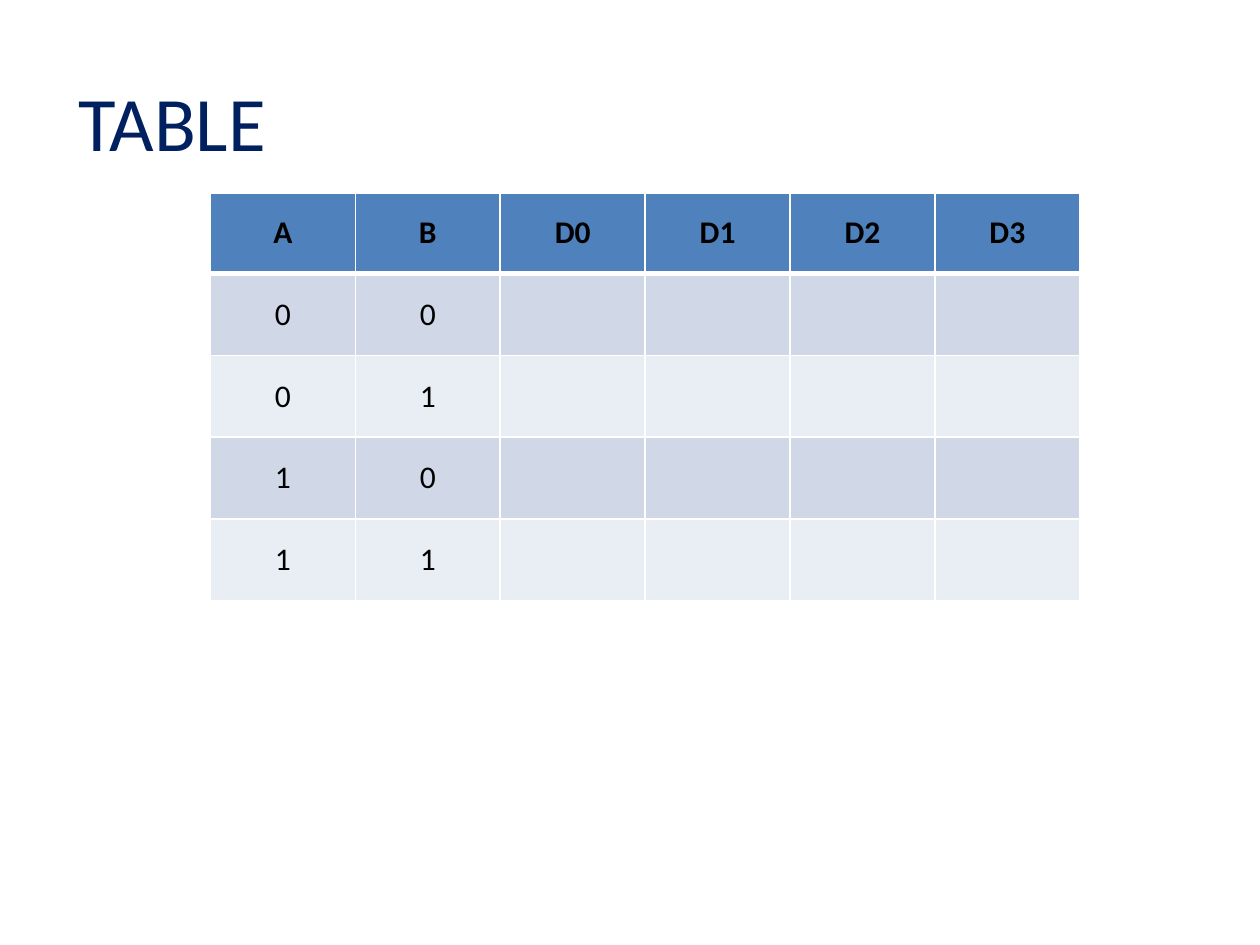
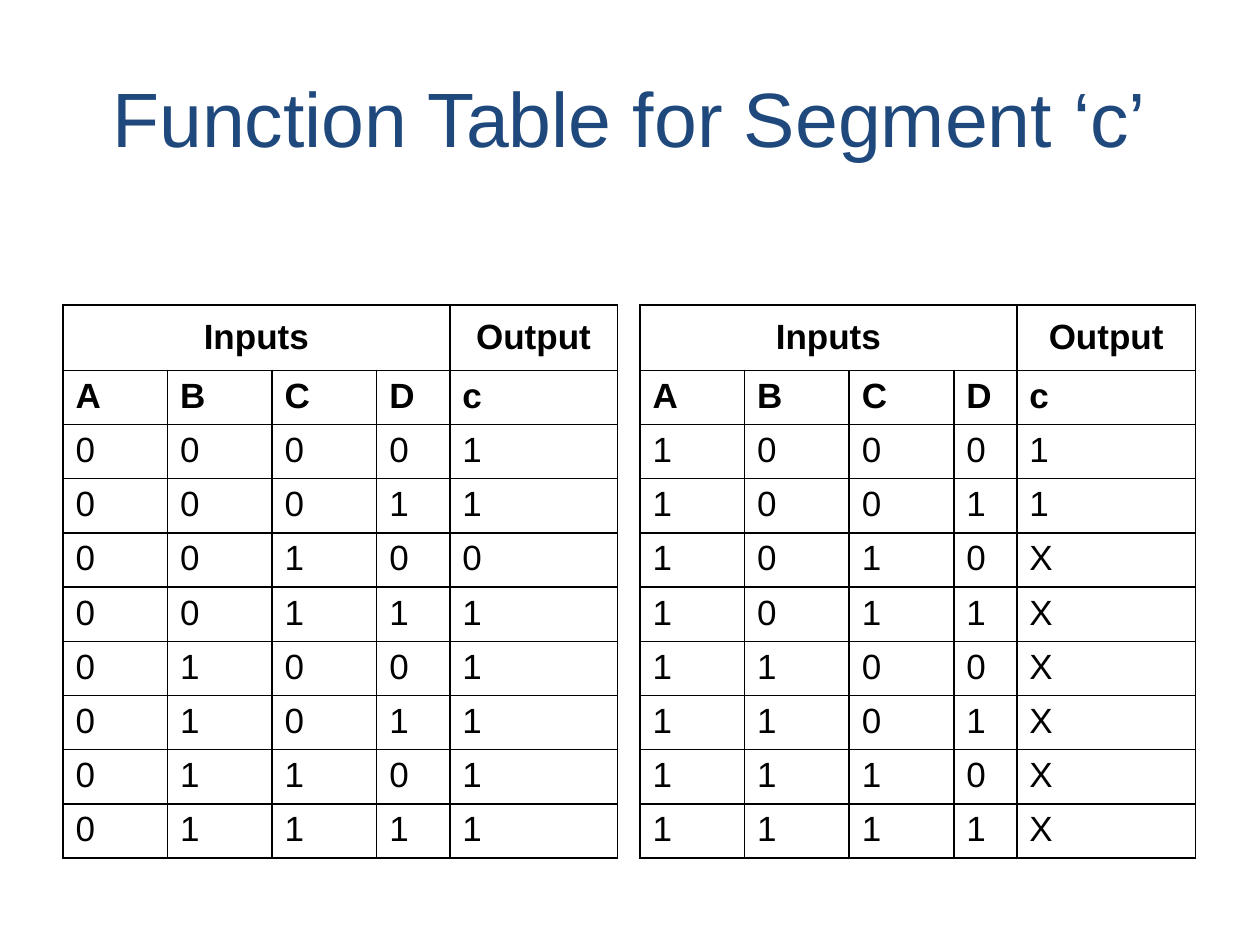
from pptx import Presentation
from pptx.dml.color import RGBColor
from pptx.enum.text import MSO_ANCHOR as Anchor, PP_ALIGN as Align
from pptx.oxml import parse_xml
from pptx.oxml.ns import nsdecls
from pptx.util import Inches, Pt

WHITE, BLACK, NAVY, BLUE = "FFFFFF", "000000", "002060", "1F497D"
HEAD, BANDS = "4F81BD", ("D0D8E8", "E9EDF4")

DECODER = [
    ("A", "B", "D0", "D1", "D2", "D3"),
    ("0", "0", "", "", "", ""),
    ("0", "1", "", "", "", ""),
    ("1", "0", "", "", "", ""),
    ("1", "1", "", "", "", ""),
]
DECODER_ROWS = [0.64] + [0.65] * 4

SEGMENT_HEAD = [("Inputs", "", "", "", "Output"), ("A", "B", "C", "D", "c")]
SEGMENT_ROWS = [0.52] + [0.43] * 9
# left edge, column widths, one row of A B C D c per string
SEGMENTS = [
    (0.5, [0.83, 0.83, 0.83, 0.58, 1.33],
     ["00001", "00011", "00100", "00111", "01001", "01011", "01101", "01111"]),
    (5.08, [0.83, 0.83, 0.83, 0.5, 1.42],
     ["10001", "10011", "1010X", "1011X", "1100X", "1101X", "1110X", "1111X"]),
]


def rgb(code):
    return RGBColor.from_string(code)


def style(para, size, face, color, align, bold=False):
    para.alignment = align
    font = para.font
    font.size, font.name, font.bold = Pt(size), face, bold
    font.color.rgb = rgb(color)


def add_slide(deck, text, left, top, face, color, align):
    slide = deck.slides.add_slide(deck.slide_layouts[5])
    title = slide.shapes.title
    title.left, title.top = Inches(left), Inches(top)
    title.width, title.height = Inches(9), Inches(1.25)
    title.text_frame.text = text
    title.text_frame.vertical_anchor = Anchor.MIDDLE
    style(title.text_frame.paragraphs[0], 44, face, color, align)
    return slide


def add_grid(slide, left, top, cols, rows, data):
    """Add a table without style banding and fill in its text."""
    table = slide.shapes.add_table(
        len(rows), len(cols), Inches(left), Inches(top),
        Inches(sum(cols)), Inches(sum(rows))).table
    table.first_row = table.horz_banding = False
    for col, width in zip(table.columns, cols):
        col.width = Inches(width)
    for row, height, texts in zip(table.rows, rows, data):
        row.height = Inches(height)
        for cell, text in zip(row.cells, texts):
            cell.text = text
    return table


def edge(cell, color, top=1, base=1):
    """Draw the four borders of a cell; call before setting its fill."""
    props = cell._tc.get_or_add_tcPr()
    for side, width in zip("LRTB", (1, 1, top, base)):
        props.append(parse_xml(
            f'<a:ln{side} {nsdecls("a")} w="{Pt(width)}"><a:solidFill>'
            f'<a:srgbClr val="{color}"/></a:solidFill></a:ln{side}>'))


def add_decoder(slide):
    table = add_grid(slide, 1.67, 1.53, [1.15] * 6, DECODER_ROWS, DECODER)
    for num, row in enumerate(table.rows):
        for cell in row.cells:
            edge(cell, WHITE, 3 if num == 1 else 1, 3 if num == 0 else 1)
            cell.fill.solid()
            cell.fill.fore_color.rgb = rgb(BANDS[(num - 1) % 2] if num else HEAD)
            cell.vertical_anchor = Anchor.MIDDLE
            style(cell.text_frame.paragraphs[0], 18, "Calibri", BLACK,
                  Align.CENTER, num == 0)


def add_segment(slide, left, cols, lines):
    table = add_grid(slide, left, 2.42, cols, SEGMENT_ROWS, SEGMENT_HEAD + lines)
    for num, row in enumerate(table.rows):
        for cell in row.cells:
            edge(cell, BLACK)
            cell.fill.background()
            cell.vertical_anchor = Anchor.TOP if num else Anchor.MIDDLE
            style(cell.text_frame.paragraphs[0], 20, "Arial", BLACK,
                  Align.JUSTIFY if num else Align.CENTER, num < 2)
    table.cell(0, 0).merge(table.cell(0, 3))


def main():
    deck = Presentation()
    deck.slide_width, deck.slide_height = Inches(10), Inches(7.5)
    add_decoder(add_slide(deck, "TABLE", 0.52, 0.33, "Calibri", NAVY, Align.LEFT))
    slide = add_slide(deck, "Function Table for Segment ‘c’", 0.5, 0.3,
                      "Arial", BLUE, Align.CENTER)
    for left, cols, lines in SEGMENTS:
        add_segment(slide, left, cols, lines)
    deck.save("out.pptx")


if __name__ == "__main__":
    main()
